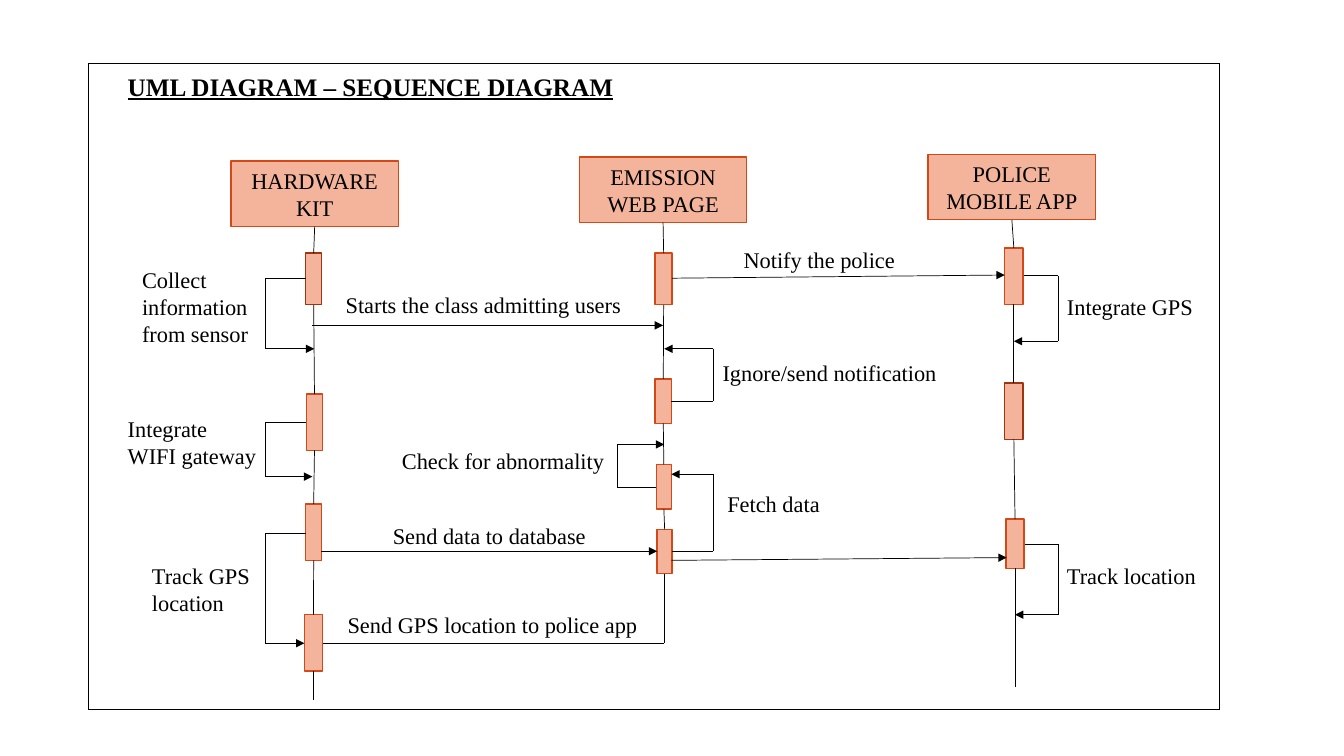
from pptx import Presentation
from pptx.dml.color import RGBColor
from pptx.enum.shapes import MSO_CONNECTOR as CONN, MSO_SHAPE as SHAPE
from pptx.enum.text import MSO_ANCHOR as ANCHOR, PP_ALIGN as ALIGN
from pptx.oxml.ns import qn
from pptx.util import Cm, Pt
from lxml.etree import SubElement

BLACK = RGBColor(0x00, 0x00, 0x00)
PEACH = RGBColor(0xF4, 0xB3, 0x9B)
ORANGE = RGBColor(0xD3, 0x48, 0x17)
BROWN = RGBColor(0x9C, 0x35, 0x11)

HEADER_W, HEADER_H = 4.22, 1.65

# name, left, top, foot of the lifeline, bars as (left, top, width, height, line)
ACTORS = [
    ("HARDWARE KIT", 5.82, 4.06, 17.63, [
        (7.7, 6.38, 0.41, 1.3, BROWN), (7.72, 9.93, 0.41, 1.42, ORANGE),
        (7.7, 12.7, 0.41, 1.42, ORANGE), (7.67, 15.49, 0.46, 1.42, ORANGE)]),
    ("EMISSION WEB PAGE", 14.6, 3.96, 16.21, [
        (16.51, 6.38, 0.43, 1.3, ORANGE), (16.51, 9.55, 0.41, 1.12, ORANGE),
        (16.54, 11.71, 0.38, 1.12, ORANGE), (16.56, 13.34, 0.38, 1.12, ORANGE)]),
    ("POLICE MOBILE APP", 23.39, 3.89, 17.32, [
        (25.32, 6.25, 0.46, 1.42, ORANGE), (25.32, 9.65, 0.46, 1.42, BROWN),
        (25.35, 13.08, 0.46, 1.24, ORANGE)]),
]

# start x, start y, outer x, end y, end x
LOOPS = [
    (7.7, 7.01, 6.68, 8.79, 7.92),
    (7.72, 10.64, 6.68, 12.01, 7.87),
    (7.7, 13.44, 6.68, 16.21, 7.67),
    (16.92, 10.11, 17.98, 8.79, 16.74),
    (16.54, 12.29, 15.57, 11.2, 16.74),
    (16.94, 13.89, 17.98, 11.95, 16.92),
    (25.81, 6.95, 26.67, 8.6, 25.55),
    (25.83, 13.72, 26.67, 15.49, 25.58),
]

# x1, y1, x2, y2, arrow
MESSAGES = [
    (7.87, 8.2, 16.71, 8.2, True),
    (8.1, 13.89, 16.56, 13.89, True),
    (16.94, 7.01, 25.32, 6.93, True),
    (16.92, 14.12, 25.37, 14.05, True),
    (8.13, 16.21, 16.74, 16.21, False),
]

# left, top, width, lines
LABELS = [
    (3.33, 6.58, 6.55, ["Collect", "information", "from sensor"]),
    (2.97, 10.34, 5.08, ["Integrate", "WIFI gateway"]),
    (3.58, 14.05, 4.09, ["Track GPS", "location"]),
    (8.46, 7.21, 10.13, ["Starts the class admitting users"]),
    (9.88, 11.15, 7.62, ["Check for abnormality"]),
    (9.65, 13.03, 7.52, ["Send data to database"]),
    (8.51, 15.27, 10.49, ["Send GPS location to police app"]),
    (18.49, 6.07, 5.64, ["Notify the police"]),
    (17.96, 8.92, 7.7, ["Ignore/send notification"]),
    (18.08, 12.22, 3.91, ["Fetch data"]),
    (26.64, 7.26, 4.62, ["Integrate GPS"]),
    (26.64, 14.05, 4.98, ["Track location"]),
]


def write(tf, lines, size=16, bold=False, underline=False, align=ALIGN.LEFT, spacing=1.0):
    tf.word_wrap = True
    for i, line in enumerate(lines):
        p = tf.add_paragraph() if i else tf.paragraphs[0]
        p.alignment, p.line_spacing = align, spacing
        r = p.add_run()
        r.text = line
        f = r.font
        f.name, f.size, f.bold, f.underline = "Times New Roman", Pt(size), bold, underline
        f.color.rgb = BLACK


class SequenceDiagram:
    """Draws the parts of a sequence diagram on one slide in one style."""

    def __init__(self, slide, fill=PEACH, ink=BLACK):
        self.shapes, self.fill, self.ink = slide.shapes, fill, ink

    def frame(self, *box):
        table = self.shapes.add_table(1, 1, *map(Cm, box)).table
        table.first_row = table.horz_banding = False
        cell = table.cell(0, 0)
        tcPr = cell._tc.get_or_add_tcPr()
        for side in ("a:lnL", "a:lnR", "a:lnT", "a:lnB"):
            ln = SubElement(tcPr, qn(side), w=str(Pt(1)))
            color = SubElement(SubElement(ln, qn("a:solidFill")), qn("a:srgbClr"))
            color.set("val", str(self.ink))
        cell.fill.background()

    def text(self, x, y, w, h, lines, **fmt):
        write(self.shapes.add_textbox(Cm(x), Cm(y), Cm(w), Cm(h)).text_frame, lines, **fmt)

    def label(self, x, y, w, lines):
        self.text(x, y, w, 0.25 + 0.69 * len(lines), lines)

    def box(self, x, y, w, h, line=ORANGE):
        sp = self.shapes.add_shape(SHAPE.RECTANGLE, Cm(x), Cm(y), Cm(w), Cm(h))
        sp.shadow.inherit = False
        sp.fill.solid()
        sp.fill.fore_color.rgb = self.fill
        sp.line.color.rgb = line
        sp.line.width = Pt(1)
        return sp

    def line(self, x1, y1, x2, y2, arrow=False):
        c = self.shapes.add_connector(CONN.STRAIGHT, Cm(x1), Cm(y1), Cm(x2), Cm(y2))
        c.line.color.rgb = self.ink
        c.line.width = Pt(0.5)
        if arrow:
            SubElement(c.line._get_or_add_ln(), qn("a:tailEnd"), type="triangle")
        SubElement(c._element.spPr, qn("a:effectLst"))

    def loop(self, x1, y1, outer, y2, x2):
        self.line(x1, y1, outer, y1)
        self.line(outer, y1, outer, y2)
        self.line(outer, y2, x2, y2, arrow=True)

    def actor(self, name, x, y, foot, bars):
        tf = self.box(x, y, HEADER_W, HEADER_H).text_frame
        tf.vertical_anchor = ANCHOR.MIDDLE
        write(tf, [name], align=ALIGN.CENTER)
        cx, bottom = x + HEADER_W / 2, y + HEADER_H
        for left, top, w, h, line in bars:
            self.box(left, top, w, h, line)
            self.line(cx, bottom, left + w / 2, top)
            cx, bottom = left + w / 2, top + h
        self.line(cx, bottom, cx, foot)


def main():
    prs = Presentation()
    prs.slide_width, prs.slide_height = Cm(33.87), Cm(19.05)
    s = prs.slides.add_slide(prs.slide_layouts[6])
    d = SequenceDiagram(s)
    d.text(2.97, 1.75, 27.94, 15.39, ["UML DIAGRAM – SEQUENCE DIAGRAM"],
           size=18, bold=True, underline=True, spacing=0.9)
    for actor in ACTORS:
        d.actor(*actor)
    for loop in LOOPS:
        d.loop(*loop)
    for message in MESSAGES:
        d.line(*message)
    for label in LABELS:
        d.label(*label)
    d.frame(2.24, 1.6, 28.5, 16.28)
    prs.save("out.pptx")


if __name__ == "__main__":
    main()
